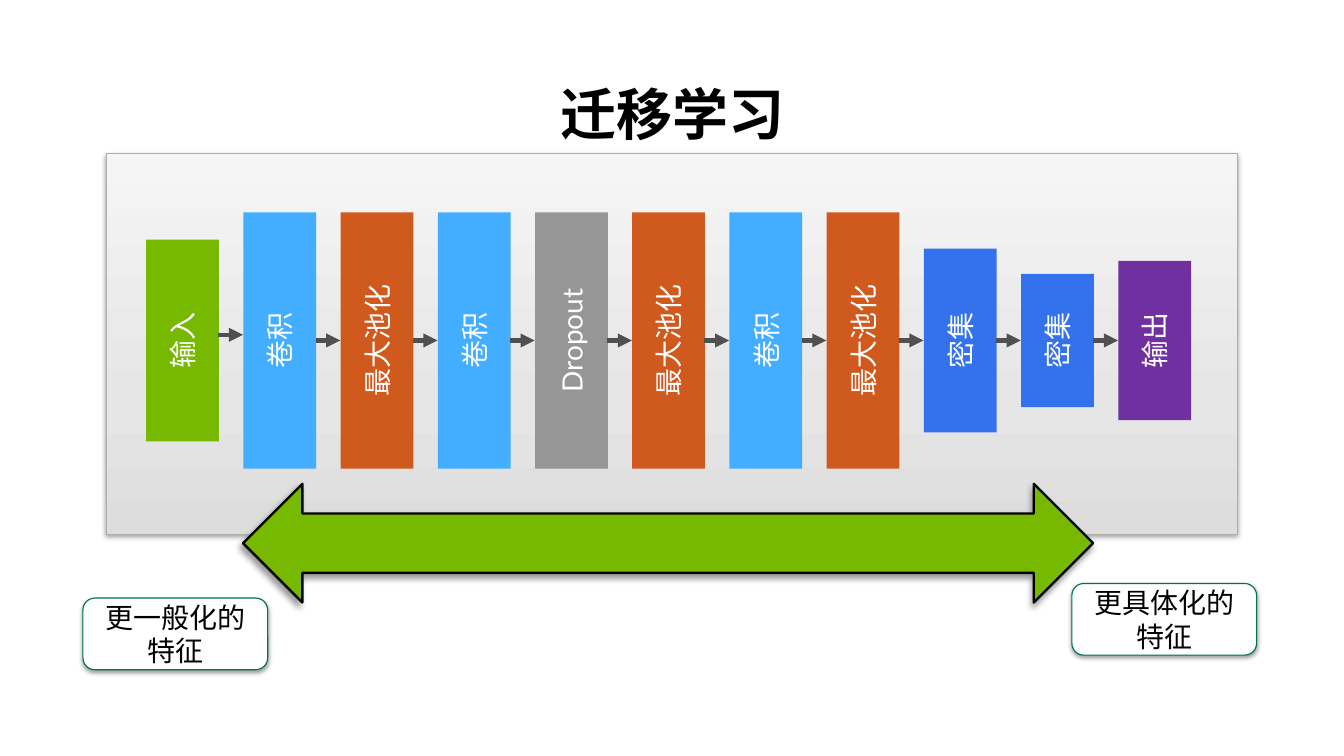
from copy import deepcopy
from pptx import Presentation
from pptx.dml.color import RGBColor
from pptx.enum.shapes import MSO_CONNECTOR, MSO_SHAPE
from pptx.enum.text import MSO_ANCHOR, PP_ALIGN
from pptx.oxml.ns import qn
from pptx.oxml.xmlchemy import OxmlElement
from pptx.util import Inches, Pt

FONT = "Lato"
CONV = ("卷积", 2.29, "43ADFF")
POOL = ("最大池化", 2.29, "D0591E")
LAYERS = [
    ("输入", 1.8, "76B900"), CONV, POOL, CONV, ("Dropout", 2.29, "969696"),
    POOL, CONV, POOL, ("密集", 1.64, "3372EC"), ("密集", 1.19, "3372EC"),
    ("输出", 1.42, "7030A0"),
]
FIRST, LAST, MID, THICK = 1.63, 10.31, 3.04, 0.65
PITCH = (LAST - FIRST) / (len(LAYERS) - 1)


def rgb(code):
    """Turn a hex string into a colour."""
    return RGBColor.from_string(code)


def node(parent, tag, **attrs):
    """Append an XML element with attributes."""
    item = OxmlElement(tag)
    for key, val in attrs.items():
        item.set(key, str(val))
    parent.append(item)
    return item


def write(shape, text, size, color, anchor, bold=False):
    """Put one centred run of text in a shape."""
    frame = shape.text_frame
    frame.word_wrap = True
    frame.vertical_anchor = anchor
    para = frame.paragraphs[0]
    para.alignment = PP_ALIGN.CENTER
    run = para.add_run()
    run.text = text
    font = run.font
    font.name, font.size, font.bold = FONT, Pt(size), bold
    font.color.rgb = rgb(color)
    return para


def block(slide, kind, box, fill=None, line=None, width=0.75):
    """Add a preset shape without a shadow."""
    shape = slide.shapes.add_shape(kind, *[Inches(n) for n in box])
    shape.shadow.inherit = False
    if fill:
        shape.fill.solid()
        shape.fill.fore_color.rgb = rgb(fill)
    if line:
        shape.line.color.rgb = rgb(line)
        shape.line.width = Pt(width)
    else:
        shape.line.fill.background()
    return shape


def shade(shape, alpha=38, blur=3.1, dist=1.6, angle=90):
    """Give a shape a soft black outer shadow."""
    effect = shape._element.spPr.find(qn("a:effectLst"))
    outer = node(effect, "a:outerShdw", blurRad=Pt(blur), dist=Pt(dist),
                 dir=angle * 60000, algn="ctr", rotWithShape=0)
    color = node(outer, "a:srgbClr", val="000000")
    node(color, "a:alpha", val=alpha * 1000)


def panel(slide):
    """Add the grey gradient panel behind the layers."""
    shape = block(slide, MSO_SHAPE.RECTANGLE, (0.95, 1.37, 10.1, 3.4), line="AEAEAE")
    fill = shape.fill
    fill.gradient()
    fill.gradient_angle = 90
    stops = shape._element.spPr.find(qn("a:gradFill")).find(qn("a:gsLst"))
    stops.insert(1, deepcopy(stops[0]))
    tones = [(0, "DDDDDD"), (0.35, "E6E6E6"), (1, "F5F5F5")]
    for stop, (pos, tone) in zip(fill.gradient_stops, tones):
        stop.position = pos
        stop.color.rgb = rgb(tone)
    shade(shape)


def layer(slide, mid, text, length, fill):
    """Add one upright network layer centred at mid."""
    box = (mid - length / 2, MID - THICK / 2, length, THICK)
    shape = block(slide, MSO_SHAPE.RECTANGLE, box, fill)
    shape.rotation = 270
    write(shape, text, 18, "FFFFFF", MSO_ANCHOR.MIDDLE)


def arrow(slide, left, top):
    """Add a short arrow between two layers."""
    line = slide.shapes.add_connector(
        MSO_CONNECTOR.STRAIGHT, Inches(left), Inches(top), Inches(left + 0.22), Inches(top))
    line.line.color.rgb = rgb("505050")
    line.line.width = Pt(3)
    props = line._element.spPr
    node(props.find(qn("a:ln")), "a:tailEnd", type="triangle")
    node(props, "a:effectLst")


def label(slide, left, top, text):
    """Add a rounded caption box."""
    box = (left, top, 1.65, 0.64)
    shape = block(slide, MSO_SHAPE.ROUNDED_RECTANGLE, box, "FFFFFF", "00734F")
    shade(shape)
    write(shape, text, 18, "000000", MSO_ANCHOR.MIDDLE)


def head(slide, text):
    """Place and format the slide title."""
    title = slide.shapes.title
    title.left, title.top = Inches(0.55), Inches(0.72)
    title.width, title.height = Inches(10.91), Inches(0.65)
    para = write(title, text, 36, "000000", MSO_ANCHOR.BOTTOM, True)
    para.line_spacing = 0.9


def main():
    """Build and save the slide."""
    deck = Presentation()
    deck.slide_width, deck.slide_height = Inches(12), Inches(6.75)
    slide = deck.slides.add_slide(deck.slide_layouts[5])
    head(slide, "迁移学习")
    panel(slide)
    for i, item in enumerate(LAYERS):
        layer(slide, FIRST + i * PITCH, *item)
    for i in range(len(LAYERS) - 1):
        arrow(slide, FIRST + i * PITCH + 0.32, MID if i else 2.99)
    span = block(slide, MSO_SHAPE.LEFT_RIGHT_ARROW, (2.17, 4.32, 7.59, 1.06),
                 "76B900", "000000", 1.5)
    shade(span, 40, 4, 3, 135)
    label(slide, 0.74, 5.34, "更一般化的特征")
    label(slide, 9.57, 5.21, "更具体化的特征")
    deck.save("out.pptx")


if __name__ == "__main__":
    main()
